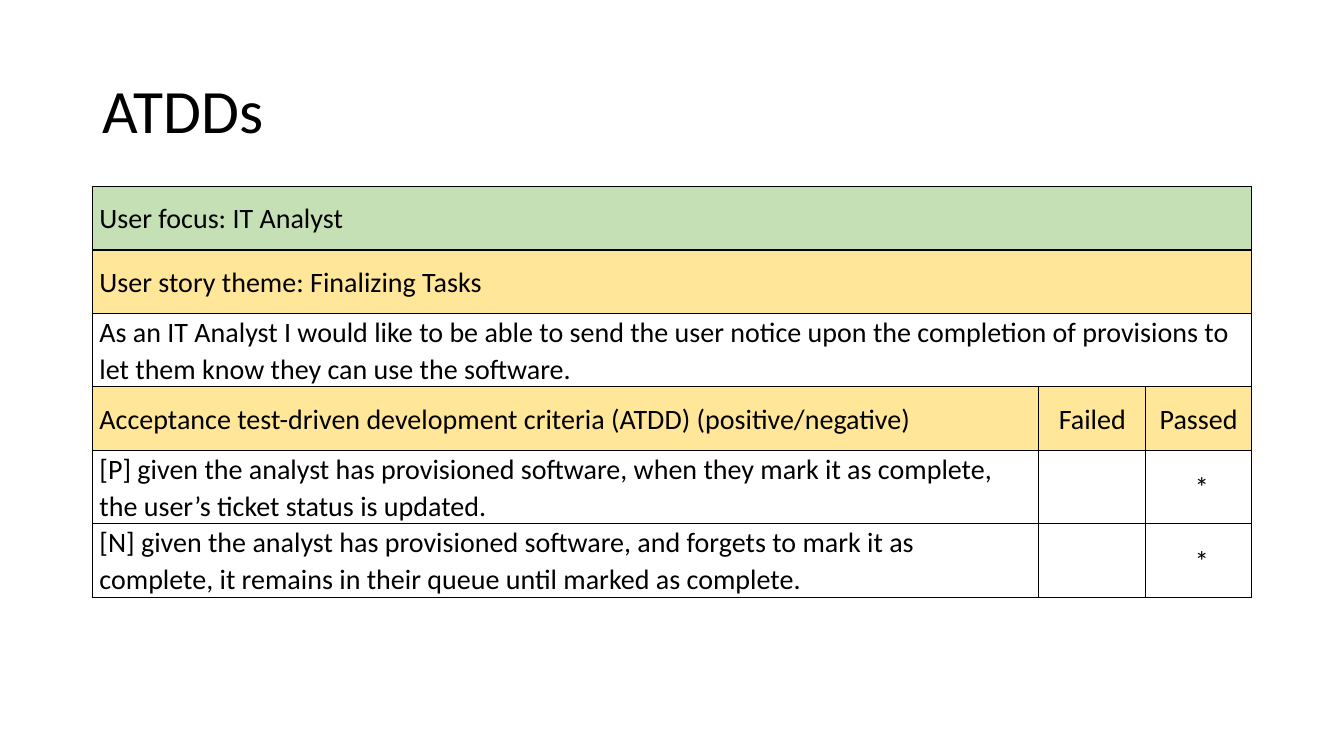
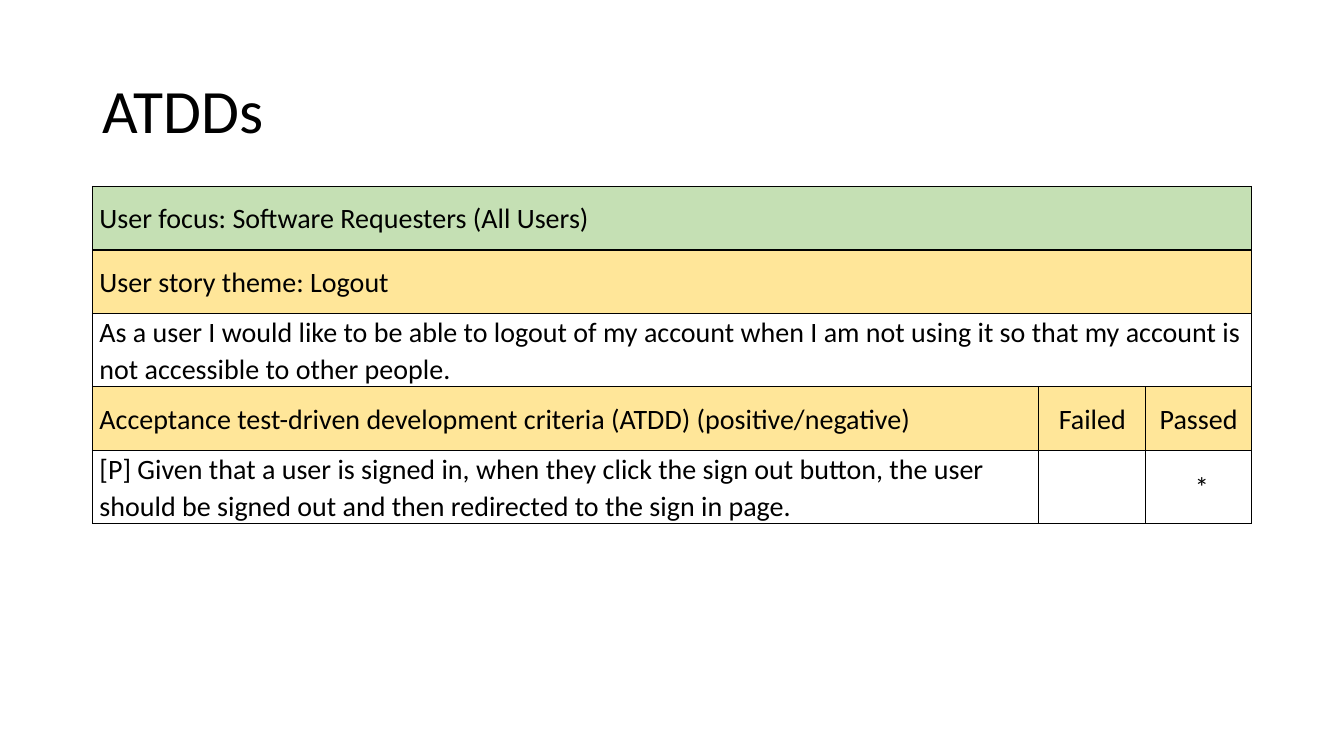
from dataclasses import dataclass

from lxml.etree import SubElement
from pptx import Presentation
from pptx.dml.color import RGBColor
from pptx.enum.text import MSO_ANCHOR as Anchor, PP_ALIGN as Align
from pptx.oxml.ns import qn
from pptx.util import Inches, Pt

FONT = "Calibri"
BLACK, GREEN, GOLD = "000000", "C5E0B4", "FFE699"
MARK = "\u00a0*"
HEADS = ("Acceptance test-driven development criteria (ATDD) (positive/negative)",
         "Failed", "Passed")

deck = Presentation()
deck.slide_width, deck.slide_height = Inches(13.33), Inches(7.5)
COL, ROW = deck.slide_width / 160, deck.slide_height / 90
LEFT, WIDE = 11, 138
TOP, TALL = 4.8, 17.4
WIDTHS = (112.68, 12.72, 12.6)
STEP = 7.56


@dataclass
class Story:
    focus: str
    theme: str
    need: str
    tests: tuple[str, ...]


@dataclass
class Line:
    texts: tuple[str, ...]
    fill: str | None = None


STORIES = (
    Story("IT Analyst", "Finalizing Tasks",
          "As an IT Analyst I would like to be able to send the user notice upon "
          "the completion of provisions to let them know they can use the software. ",
          ("[P] given the analyst has provisioned software, when they mark it as "
           "complete, the user’s ticket status is updated.",
           "[N] given the analyst has provisioned software, and forgets to mark it as "
           "complete, it remains in their queue until marked as complete.")),
    Story("Software Requesters (All Users)", "Logout",
          "As a user I would like to be able to logout of my account when I am not "
          "using it so that my account is not accessible to other people.",
          ("[P] Given that a user is signed in, when they click the sign out button, "
           "the user should be signed out and then redirected to the sign in page.",)),
)


def color(code: str) -> RGBColor:
    return RGBColor.from_string(code)


def across(count: float) -> int:
    return round(count * COL)


def down(count: float) -> int:
    return round(count * ROW)


def style(para, size: int, align: Align, space: float) -> None:
    para.alignment, para.line_spacing = align, space
    font = para.font
    font.name, font.size = FONT, Pt(size)
    font.color.rgb = color(BLACK)


def border(cell) -> None:
    props = cell._tc.get_or_add_tcPr()
    for side in ("lnL", "lnR", "lnT", "lnB"):
        edge = SubElement(props, qn(f"a:{side}"), w=str(Pt(1)))
        fill = SubElement(edge, qn("a:solidFill"))
        SubElement(fill, qn("a:srgbClr"), val=BLACK)


def draw_cell(cell, text: str, align: Align, fill: str | None) -> None:
    border(cell)
    if fill:
        cell.fill.solid()
        cell.fill.fore_color.rgb = color(fill)
    else:
        cell.fill.background()
    cell.vertical_anchor = Anchor.MIDDLE
    cell.margin_left = cell.margin_right = Inches(0.07)
    cell.margin_top = cell.margin_bottom = 0
    cell.text = text
    style(cell.text_frame.paragraphs[0], 20, align, 1.07)


def draw_title(slide, text: str) -> None:
    title = slide.shapes.title
    title.left, title.top = across(LEFT), down(TOP)
    title.width, title.height = across(WIDE), down(TALL)
    frame = title.text_frame
    frame.text = text
    frame.vertical_anchor = Anchor.MIDDLE
    style(frame.paragraphs[0], 44, Align.LEFT, 0.9)


def draw_table(slide, lines: list[Line]) -> None:
    table = slide.shapes.add_table(
        len(lines), len(WIDTHS), across(LEFT), down(TOP + TALL),
        across(WIDE), down(STEP * len(lines))).table
    table.first_row = table.horz_banding = False
    for col, width in zip(table.columns, WIDTHS):
        col.width = across(width)
    for row, line in enumerate(lines):
        table.rows[row].height = down(STEP)
        for col in range(len(WIDTHS)):
            text = line.texts[col] if col < len(line.texts) else ""
            align = Align.CENTER if col else Align.LEFT
            draw_cell(table.cell(row, col), text, align, line.fill)
        if len(line.texts) == 1:
            table.cell(row, 0).merge(table.cell(row, len(WIDTHS) - 1))


def draw_story(story: Story) -> None:
    slide = deck.slides.add_slide(deck.slide_layouts.get_by_name("Title Only"))
    draw_title(slide, "ATDDs")
    draw_table(slide, [
        Line((f"User focus: {story.focus}",), GREEN),
        Line((f"User story theme: {story.theme}",), GOLD),
        Line((story.need,)),
        Line(HEADS, GOLD),
        *(Line((test, "", MARK)) for test in story.tests),
    ])


for story in STORIES:
    draw_story(story)
deck.save("out.pptx")
